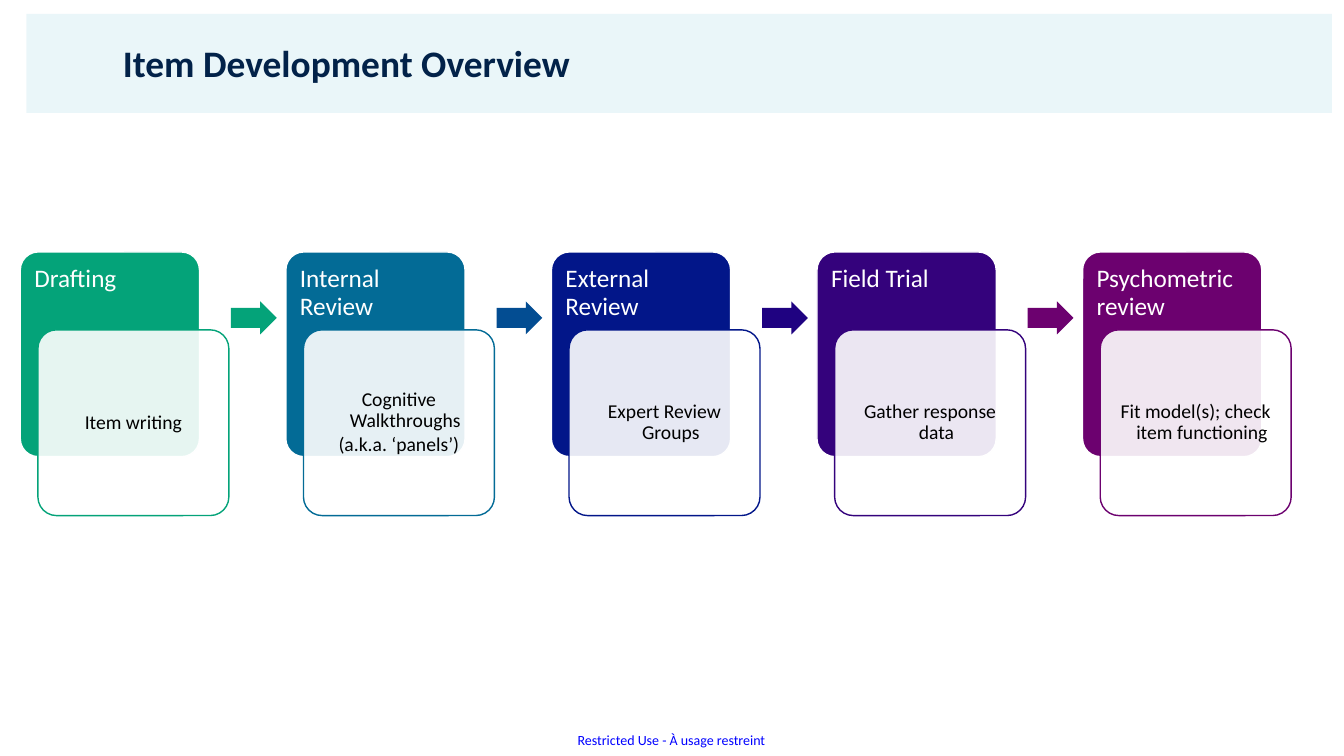
from lxml import etree
from pptx import Presentation
from pptx.dml.color import RGBColor
from pptx.enum import shapes, text
from pptx.oxml.ns import qn
from pptx.util import Pt

FONT = "Calibri"
WHITE, BLACK, NAVY, BLUE = "FFFFFF", "000000", "022249", "0000FF"
LEFT, TOP, STEP = 14.5, 180, 189.7

# Heading, detail paragraphs, stage colour, colour of the arrow that follows
STAGES = [
    ("Drafting", ["Item writing"], "04A379", "04A379"),
    ("Internal Review", ["Cognitive Walkthroughs", "(a.k.a. ‘panels’)"],
     "036B96", "034D92"),
    ("External Review", ["Expert Review Groups"], "021689", "1F0281"),
    ("Field Trial", ["Gather response data"], "34027C", "6C016F"),
    ("Psychometric review", ["Fit model(s); check item functioning"],
     "6C016F", None),
]


def color(code):
    return RGBColor.from_string(code)


def write(shape, lines, size, code, bold=False, align="LEFT", anchor="MIDDLE",
          inset=(0, 0, 0, 0), hang=0, space=0.9, after=0, wrap=True):
    """Fill a shape with paragraphs in one format."""
    frame = shape.text_frame
    frame.word_wrap = wrap
    frame.auto_size = text.MSO_AUTO_SIZE.NONE
    frame.vertical_anchor = text.MSO_ANCHOR[anchor]
    (frame.margin_left, frame.margin_top,
     frame.margin_right, frame.margin_bottom) = map(Pt, inset)
    frame.text = "\n".join(lines)
    for para in frame.paragraphs:
        para.alignment = text.PP_ALIGN[align]
        para.line_spacing = space
        para.space_before = Pt(0)
        para.space_after = Pt(after)
        if hang:
            props = para._p.get_or_add_pPr()
            props.set("marL", str(Pt(hang)))
            props.set("indent", str(-Pt(hang)))
            etree.SubElement(props, qn("a:buNone"))
        font = para.font
        font.name, font.size, font.bold = FONT, Pt(size), bold
        font.color.rgb = color(code)


def block(slide, kind, box, fill, alpha=None, line=None, adjust=()):
    """Add a filled preset shape; alpha is its opacity in percent."""
    shape = slide.shapes.add_shape(shapes.MSO_SHAPE[kind], *map(Pt, box))
    shape.shadow.inherit = False
    shape.fill.solid()
    shape.fill.fore_color.rgb = color(fill)
    if alpha is not None:
        tint = shape._element.spPr.find(qn("a:solidFill"))[0]
        etree.SubElement(tint, qn("a:alpha"), val=str(alpha * 1000))
    if line:
        shape.line.color.rgb = color(line)
        shape.line.width = Pt(1)
    else:
        shape.line.fill.background()
    for i, value in enumerate(adjust):
        shape.adjustments[i] = value
    return shape


def header(slide):
    band = block(slide, "RECTANGLE", (18.9, 10, 932.4, 70.7), "6FC5D5", alpha=14)
    title = slide.shapes.title
    title._element.addprevious(band._element)
    title.left, title.top, title.width, title.height = map(
        Pt, (80.6, 13, 824.4, 67.7))
    write(title, ["Item Development Overview"], 26.7, NAVY, bold=True,
          inset=(7.2, 3.6, 7.2, 3.6))


def stage(slide, x, head, lines, tone, next_tone):
    # Card with heading, then the detail box overlapping it
    card = block(slide, "ROUNDED_RECTANGLE", (x, TOP, 128, 146.2), tone,
                 line=WHITE, adjust=[0.1])
    write(card, [head], 18, WHITE, anchor="TOP", inset=(6.3, 6.3, 6.3, 1.3))
    note = block(slide, "ROUNDED_RECTANGLE", (x + 12.6, TOP + 55.6, 136.4, 132.7),
                 WHITE, alpha=90, line=tone, adjust=[0.1])
    write(note, lines, 14, BLACK, align="CENTER", inset=(8, 8, 8, 8),
          hang=9, after=2)
    # Arrow to the next stage
    if next_tone:
        block(slide, "RIGHT_ARROW", (x + 150.5, TOP + 35.3, 32.7, 23.6),
              next_tone, adjust=[0.6, 0.5])


def footer(slide):
    box = slide.shapes.add_textbox(*map(Pt, (412.6, 522.5, 137.5, 12.5)))
    write(box, ["Restricted Use - À usage restreint"], 10, BLUE,
          anchor="TOP", space=1.0, wrap=False)


def main():
    deck = Presentation()
    deck.slide_width, deck.slide_height = Pt(960), Pt(540)
    slide = deck.slides.add_slide(deck.slide_layouts[5])
    header(slide)
    for i, parts in enumerate(STAGES):
        stage(slide, LEFT + i * STEP, *parts)
    footer(slide)
    deck.save("out.pptx")


if __name__ == "__main__":
    main()
